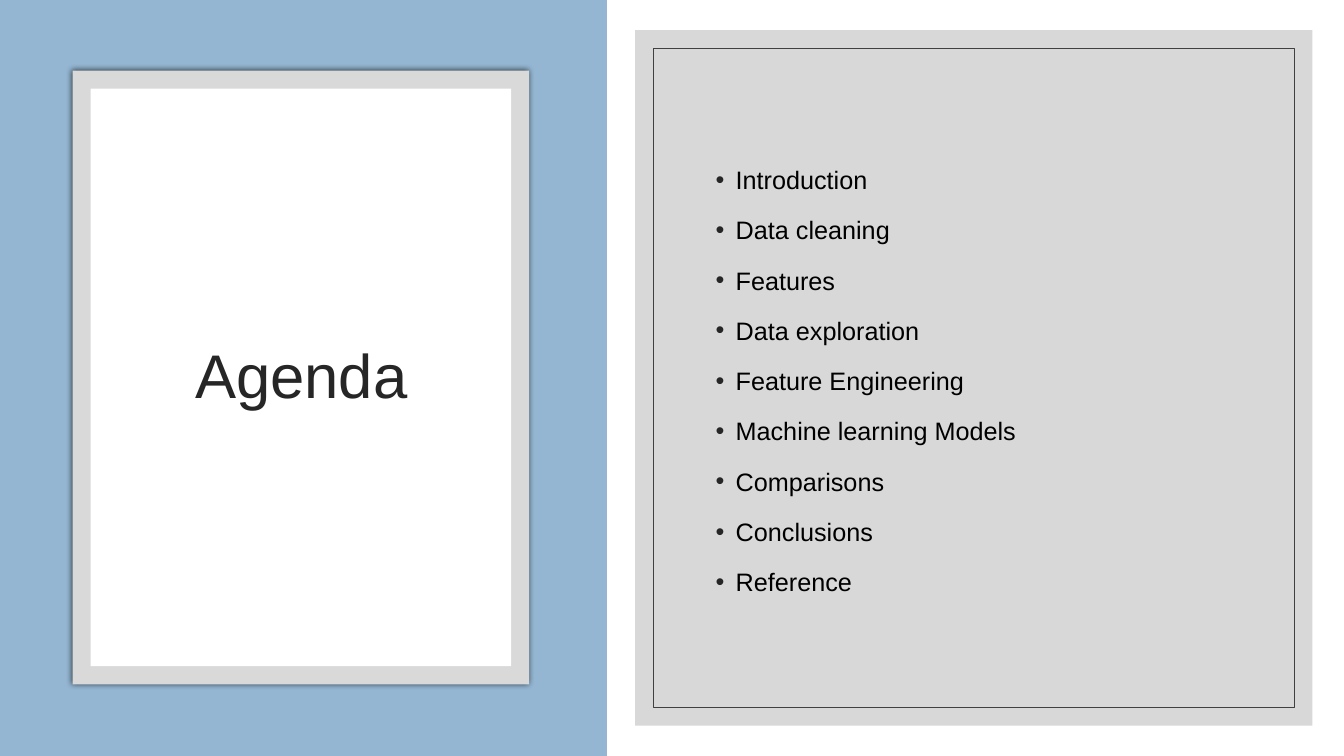
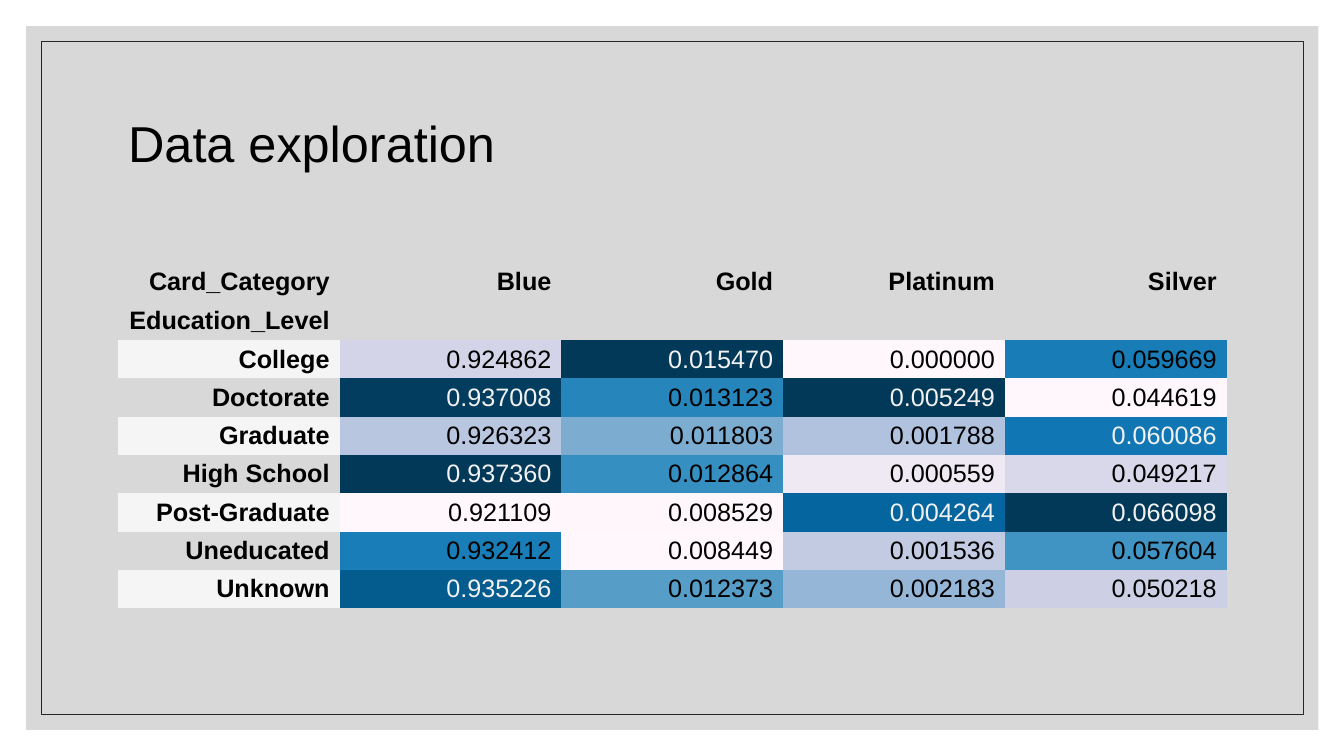
from lxml.etree import SubElement
from pptx import Presentation
from pptx.dml.color import RGBColor
from pptx.enum.shapes import MSO_SHAPE
from pptx.enum.text import MSO_ANCHOR, MSO_AUTO_SIZE, PP_ALIGN
from pptx.oxml.ns import qn
from pptx.util import Inches, Pt

FONT = "Arial"
COLORS = {
    "blue": "94B6D2", "white": "FFFFFF", "card": "D9D9D9", "panel": "BFBFBF",
    "black": "000000", "dark": "262626", "outline": "404040",
    "stripe": "F5F5F5", "light": "F1F1F1",
}
NO_GRID_STYLE = "{2D5ABB26-0587-4C30-8999-92F81FD0307C}"

AGENDA = [
    "Introduction", "Data cleaning", "Features", "Data exploration",
    "Feature Engineering", "Machine learning Models", "Comparisons",
    "Conclusions", "Reference",
]
HEADINGS = [
    ["Card_Category", "Blue", "Gold", "Platinum", "Silver"],
    ["Education_Level", "", "", "", ""],
]
# Education level, then value and heat colour for each card category
SHARES = [
    ("College", [("0.924862", "D4D4E8"), ("0.015470", "023858"),
                 ("0.000000", "FFF7FB"), ("0.059669", "187CB6")]),
    ("Doctorate", [("0.937008", "023D60"), ("0.013123", "2685BB"),
                   ("0.005249", "023858"), ("0.044619", "FFF7FB")]),
    ("Graduate", [("0.926323", "B8C6E0"), ("0.011803", "7DACD1"),
                  ("0.001788", "B1C2DE"), ("0.060086", "1077B4")]),
    ("High School", [("0.937360", "023858"), ("0.012864", "358FC0"),
                     ("0.000559", "EFE9F3"), ("0.049217", "D9D8EA")]),
    ("Post-Graduate", [("0.921109", "FFF7FB"), ("0.008529", "FEF6FA"),
                       ("0.004264", "05659F"), ("0.066098", "023858")]),
    ("Uneducated", [("0.932412", "197DB7"), ("0.008449", "FFF7FB"),
                    ("0.001536", "C2CBE2"), ("0.057604", "4094C3")]),
    ("Unknown", [("0.935226", "045B8E"), ("0.012373", "569DC8"),
                 ("0.002183", "96B6D7"), ("0.050218", "CDD0E5")]),
]


def text_color_on(fill):
    """Light text on dark heat colours, black on the others."""
    red, green, blue = RGBColor.from_string(fill)
    brightness = 0.2126 * red + 0.7152 * green + 0.0722 * blue
    return COLORS["light"] if brightness < 104 else COLORS["black"]


class Deck:
    """Shared style and the current slide; boxes are percentages of the slide."""

    def __init__(self):
        self.presentation = Presentation()
        self.presentation.slide_width = Inches(13.33)
        self.presentation.slide_height = Inches(7.5)
        self.slide = None

    def new_slide(self):
        layout = self.presentation.slide_layouts[5]
        self.slide = self.presentation.slides.add_slide(layout)

    def place(self, box):
        width, height = self.presentation.slide_width, self.presentation.slide_height
        return [int(share * side / 100)
                for share, side in zip(box, (width, height, width, height))]

    def rectangle(self, area, fill=None, line=None, opacity=None):
        shape = self.slide.shapes.add_shape(MSO_SHAPE.RECTANGLE, *area)
        shape.shadow.inherit = False
        if fill:
            shape.fill.solid()
            shape.fill.fore_color.rgb = RGBColor.from_string(fill)
            if opacity:
                color = shape.fill._xPr.find(".//" + qn("a:srgbClr"))
                SubElement(color, qn("a:alpha"), val=str(opacity * 1000))
        else:
            shape.fill.background()
        if line:
            shape.line.color.rgb = RGBColor.from_string(line)
            shape.line.width = Pt(0.5)
        else:
            shape.line.fill.background()
        return shape

    def framed_panel(self, box, inset, fill, opacity=None, inner_fill=None, line=None):
        """A filled panel with a second rectangle set in by an equal margin."""
        left, top, width, height = self.place(box)
        panel = self.rectangle((left, top, width, height), fill, opacity=opacity)
        margin = int(inset * self.presentation.slide_width / 100)
        inner = (left + margin, top + margin, width - 2 * margin, height - 2 * margin)
        self.rectangle(inner, inner_fill, line)
        return panel

    def glow_shadow(self, shape):
        effects = shape._element.spPr.find(qn("a:effectLst"))
        shadow = SubElement(effects, qn("a:outerShdw"), blurRad=str(Pt(4)),
                            dist="0", dir="0", algn="ctr", rotWithShape="0")
        color = SubElement(shadow, qn("a:srgbClr"), val=COLORS["black"])
        SubElement(color, qn("a:alpha"), val="66000")

    def add_run(self, paragraph, text, size, color, bold=False):
        run = paragraph.add_run()
        run.text = text
        run.font.name = FONT
        run.font.size = Pt(size)
        run.font.bold = bold
        run.font.color.rgb = RGBColor.from_string(color)

    def title(self, box, text, size, color, align=PP_ALIGN.LEFT):
        title = self.slide.shapes.title
        title.left, title.top, title.width, title.height = self.place(box)
        # Bring the title in front of the panels
        self.slide.shapes._spTree.append(title._element)
        frame = title.text_frame
        frame.word_wrap = True
        frame.auto_size = MSO_AUTO_SIZE.NONE
        frame.vertical_anchor = MSO_ANCHOR.MIDDLE
        paragraph = frame.paragraphs[0]
        paragraph.alignment = align
        paragraph.line_spacing = 0.9
        self.add_run(paragraph, text, size, color)

    def bullets(self, box, items):
        frame = self.slide.shapes.add_textbox(*self.place(box)).text_frame
        frame.word_wrap = True
        frame.vertical_anchor = MSO_ANCHOR.MIDDLE
        for index, item in enumerate(items):
            paragraph = frame.add_paragraph() if index else frame.paragraphs[0]
            paragraph.line_spacing = 1.2
            paragraph.space_before = Pt(10 if index else 0)
            properties = paragraph._p.get_or_add_pPr()
            properties.set("marL", str(Inches(0.2)))
            properties.set("indent", str(Inches(-0.2)))
            bullet_color = SubElement(properties, qn("a:buClr"))
            SubElement(bullet_color, qn("a:srgbClr"), val=COLORS["dark"])
            SubElement(properties, qn("a:buFont"), typeface=FONT)
            SubElement(properties, qn("a:buChar"), char="•")
            self.add_run(paragraph, item, 18, COLORS["black"])

    def cell(self, cell, text, fill=None, bold=False):
        cell.margin_top = cell.margin_bottom = Inches(0.04)
        cell.vertical_anchor = MSO_ANCHOR.MIDDLE
        if fill:
            cell.fill.solid()
            cell.fill.fore_color.rgb = RGBColor.from_string(fill)
        else:
            cell.fill.background()
        if text:
            paragraph = cell.text_frame.paragraphs[0]
            paragraph.alignment = PP_ALIGN.RIGHT
            color = text_color_on(fill) if fill else COLORS["black"]
            self.add_run(paragraph, text, 18, color, bold)

    def heat_table(self, box, headings, records):
        rows = len(headings) + len(records)
        table = self.slide.shapes.add_table(
            rows, len(headings[0]), *self.place(box)).table
        table.first_row = table.horz_banding = False
        table._tbl.tblPr.find(qn("a:tableStyleId")).text = NO_GRID_STYLE
        for row, texts in enumerate(headings):
            for column, text in enumerate(texts):
                self.cell(table.cell(row, column), text, bold=True)
        for index, (label, values) in enumerate(records):
            row = len(headings) + index
            stripe = None if index % 2 else COLORS["stripe"]
            self.cell(table.cell(row, 0), label, stripe, bold=True)
            for column, (value, fill) in enumerate(values, start=1):
                self.cell(table.cell(row, column), value, fill)


def main():
    deck = Deck()

    # Agenda: title card on a blue band, list on a grey panel
    deck.new_slide()
    deck.rectangle(deck.place((0, 0, 45.15, 100)), COLORS["blue"])
    card = deck.framed_panel((5.4, 9.33, 33.98, 81.2), 1.35, COLORS["card"],
                             inner_fill=COLORS["white"])
    deck.glow_shadow(card)
    deck.title((8.1, 17.33, 28.65, 65.47), "Agenda", 44, COLORS["dark"],
               PP_ALIGN.CENTER)
    deck.framed_panel((47.25, 4, 50.4, 92), 1.35, COLORS["panel"], 60,
                      line=COLORS["outline"])
    deck.bullets((52.5, 13.6, 40, 72.67), AGENDA)

    # Data exploration: heat table
    deck.new_slide()
    deck.framed_panel((1.95, 3.47, 96.15, 93.07), 1.13, COLORS["panel"], 60,
                      line=COLORS["dark"])
    deck.title((8.78, 9.33, 82.5, 20), "Data exploration", 36, COLORS["black"])
    deck.heat_table((8.78, 34.8, 82.5, 45.6), HEADINGS, SHARES)

    deck.presentation.save("out.pptx")


if __name__ == "__main__":
    main()
